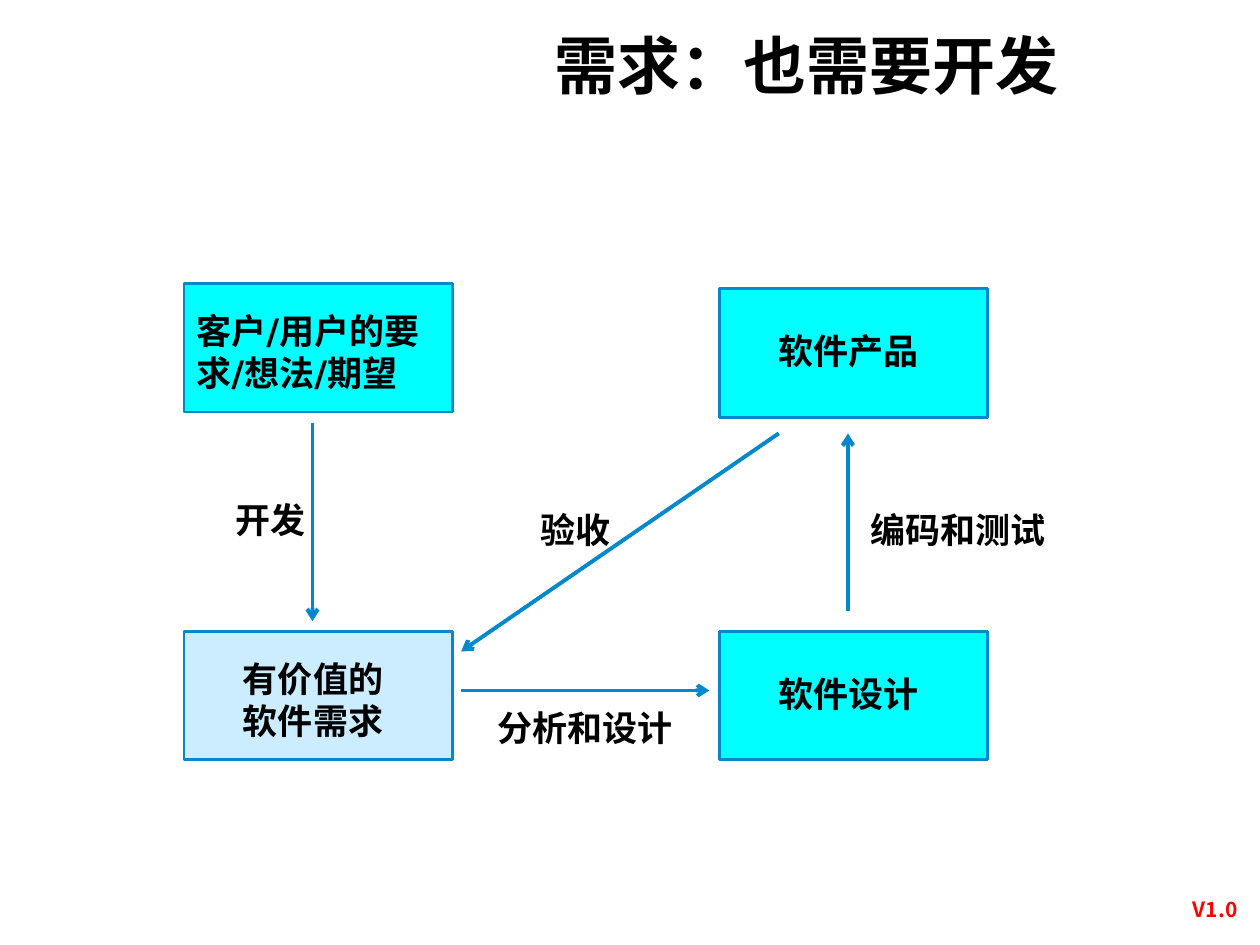
from lxml import etree
from pptx import Presentation
from pptx.dml.color import RGBColor
from pptx.enum import shapes, text
from pptx.oxml.ns import qn
from pptx.util import Pt

BLUE, CYAN, PALE = "0088CC", "00FFFF", "CCECFF"
LEFT, CENTER = text.PP_ALIGN.LEFT, text.PP_ALIGN.CENTER
BOX_W, BOX_H = 153.36, 73.44
COL_LEFT, COL_RIGHT = 105.12, 411.12
ROW_BOTTOM = 360.72
LABEL_H = 31.68


def color(hex_value):
    return RGBColor.from_string(hex_value)


def add_text(slide, box, words, align=LEFT, size=20, face="DejaVu Sans",
             ink="000000", anchor=text.MSO_ANCHOR.TOP):
    frame = slide.shapes.add_textbox(*map(Pt, box)).text_frame
    frame.word_wrap = True
    frame.vertical_anchor = anchor
    paragraph = frame.paragraphs[0]
    paragraph.text = words
    paragraph.alignment = align
    for run in paragraph.runs:
        for name, value in {"size": Pt(size), "name": face, "bold": True}.items():
            setattr(run.font, name, value)
        run.font.color.rgb = color(ink)
        east_asian = etree.SubElement(run.font._element, qn("a:ea"))
        east_asian.set("typeface", face)


def add_stage(slide, box, words, fill, align=CENTER, caption_w=147.6):
    """A filled rectangle with its caption laid over it."""
    left, top, width, height = box
    panel = slide.shapes.add_shape(shapes.MSO_SHAPE.RECTANGLE, *map(Pt, box))
    panel.shadow.inherit = False
    panel.fill.solid()
    panel.fill.fore_color.rgb = color(fill)
    panel.line.color.rgb = color(BLUE)
    panel.line.width = Pt(1.5)
    two_lines = "\v" in words or align == LEFT
    inset, caption_h = (11.2, 55.44) if two_lines else (19.8, LABEL_H)
    add_text(slide, (left, top + inset, caption_w, caption_h), words, align)


def add_arrow(slide, start, end):
    arrow = slide.shapes.add_connector(
        shapes.MSO_CONNECTOR.STRAIGHT, *map(Pt, start + end))
    arrow.line.color.rgb = color(BLUE)
    arrow.line.width = Pt(2.25)
    etree.SubElement(arrow.line._get_or_add_ln(), qn("a:tailEnd")).set("type", "arrow")
    etree.SubElement(arrow._element.spPr, qn("a:effectLst"))


def add_stages(slide):
    for left, top, words, fill, extra in (
        (COL_LEFT, 162, "客户/用户的要求/想法/期望", CYAN,
         {"align": LEFT, "caption_w": 158.4}),
        (COL_RIGHT, ROW_BOTTOM, "软件设计", CYAN, {}),
        (COL_RIGHT, 165, "软件产品", CYAN, {}),
        (COL_LEFT, ROW_BOTTOM, "有价值的\v软件需求", PALE, {}),
    ):
        add_stage(slide, (left, top, BOX_W, BOX_H), words, fill, **extra)


def add_steps(slide):
    """The arrows between the stages, each with its label."""
    for start, end, words, left, top, width, align in (
        ((178.56, 241.92), (178.56, 355), "开发", 127.44, 281.52, 56.88, LEFT),
        ((484.56, 349.2), (484.56, 247.68), "编码和测试", 490.32, 287.28, 118.8, LEFT),
        ((445, 247.68), (263.52, 372.24), "验收", 297.36, 287.28, 62.64, CENTER),
        ((263.52, 394.56), (405.36, 394.56), "分析和设计", 275.04, 400.32, 118.8, CENTER),
    ):
        add_arrow(slide, start, end)
        add_text(slide, (left, top, width, LABEL_H), words, align)


def main():
    deck = Presentation()
    deck.slide_width, deck.slide_height = Pt(720), Pt(540)
    slide = deck.slides.add_slide(deck.slide_layouts[6])
    add_text(slide, (666, 509.04, 56.88, 21.6), "V1.0", CENTER, 12,
             "Noto Sans CJK SC", "FF0000")
    add_text(slide, (309.6, 21.6, 369.36, 40.32), "需求：也需要开发", LEFT, 36,
             "Arial", anchor=text.MSO_ANCHOR.BOTTOM)
    add_stages(slide)
    add_steps(slide)
    deck.save("out.pptx")


if __name__ == "__main__":
    main()
